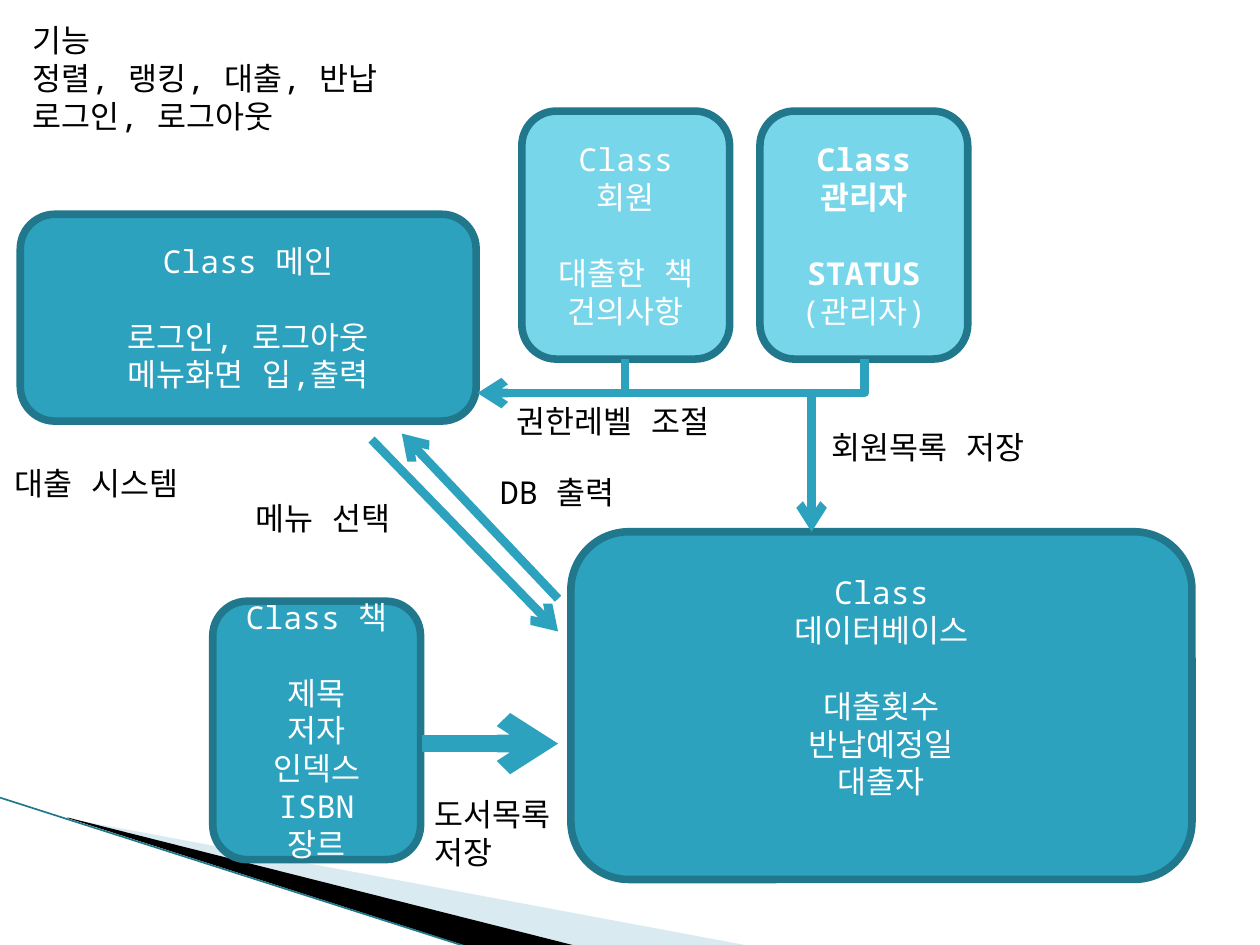
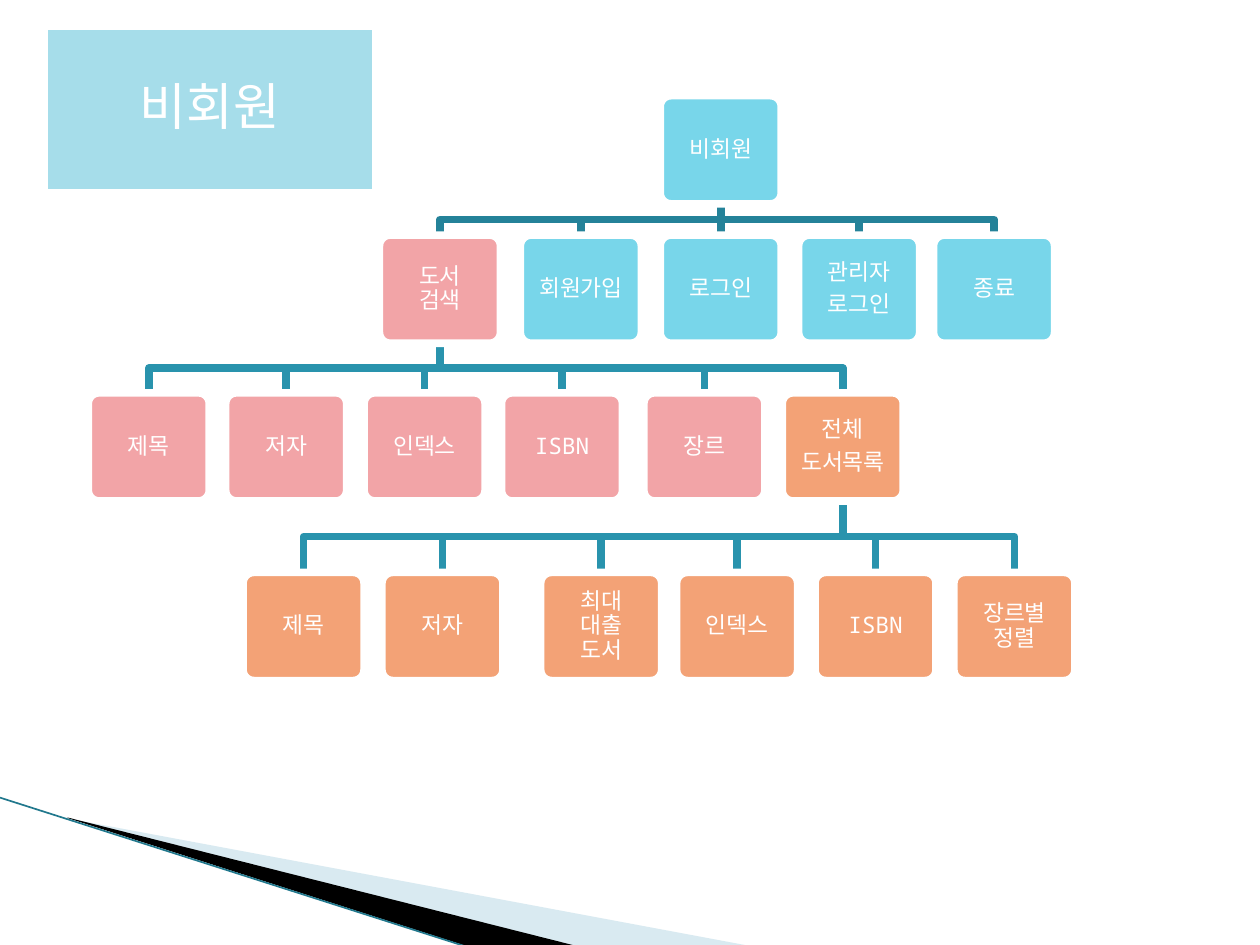
from lxml.etree import SubElement
from pptx import Presentation
from pptx.dml.color import RGBColor
from pptx.enum.shapes import MSO_CONNECTOR as CONN, MSO_SHAPE as SHAPE
from pptx.enum.text import MSO_ANCHOR as ANCHOR, PP_ALIGN as ALIGN
from pptx.oxml.ns import qn
from pptx.util import Cm, Pt

COLORS = {
    "white": "FFFFFF", "black": "000000", "main": "2DA2BF", "edge": "21788D",
    "sky": "78D6EA", "pale": "A6DDEA", "pink": "F2A4A7", "orange": "F3A276",
    "branch1": "248299", "branch2": "2993AD", "wedge": "A0CBDC",
}
FONT = "Noto Sans Mono"
EDGE = 4.33
LINE_GAP = Pt(21.7)


def rgb(name):
    """Return the palette colour called name."""
    return RGBColor.from_string(COLORS[name])


def style(shape, fill=None, line=None, width=EDGE):
    """Set fill and outline of a shape and drop its shadow."""
    shape.shadow.inherit = False
    if fill:
        shape.fill.solid()
        shape.fill.fore_color.rgb = rgb(fill)
    else:
        shape.fill.background()
    if line:
        shape.line.color.rgb = rgb(line)
        shape.line.width = Pt(width)
    else:
        shape.line.fill.background()


def write(tf, lines, size=18, color="white", bold=0, frame=None, para=None):
    """Write lines, the first few bold; an empty line becomes spacing."""
    frame = {"word_wrap": True, **(frame or {})}
    for name, value in frame.items():
        setattr(tf, name, value)
    p, gap = tf.paragraphs[0], False
    for i, text in enumerate(lines):
        if not text:
            gap = True
            continue
        if i:
            p = tf.add_paragraph()
        if gap:
            p.space_before, gap = LINE_GAP, False
        for name, value in (para or {}).items():
            setattr(p, name, value)
        r = p.add_run()
        r.text = text
        fmt = {"name": FONT, "size": Pt(size), "bold": i < bold}
        for name, value in fmt.items():
            setattr(r.font, name, value)
        r.font.color.rgb = rgb(color)
        SubElement(r.font._element, qn("a:ea"), typeface=FONT)


def add_box(s, kind, x, y, w, h, fill, line):
    """Add a filled preset shape, in centimetres."""
    sp = s.shapes.add_shape(kind, Cm(x), Cm(y), Cm(w), Cm(h))
    style(sp, fill, line)
    return sp


def add_label(s, x, y, w, h, lines):
    """Add a black text box."""
    sp = s.shapes.add_textbox(Cm(x), Cm(y), Cm(w), Cm(h))
    write(sp.text_frame, lines, color="black")


def add_line(s, x1, y1, x2, y2, color, width, arrow=False, kind=CONN.STRAIGHT):
    """Add a connector, with an arrowhead at its end if asked."""
    c = s.shapes.add_connector(kind, Cm(x1), Cm(y1), Cm(x2), Cm(y2))
    c.line.color.rgb = rgb(color)
    c.line.width = Pt(width)
    if arrow:
        SubElement(c.line._ln, qn("a:tailEnd"), type="arrow")
    SubElement(c._element.spPr, qn("a:effectLst"))
    return c


def add_outline(s, points, closed=True):
    """Add a freeform through the points."""
    pts = [(Cm(x), Cm(y)) for x, y in points]
    fb = s.shapes.build_freeform(*pts[0], scale=1.0)
    fb.add_line_segments(pts[1:], close=closed)
    return fb.convert_to_shape()


def add_corner(s, x, y):
    """Draw the wedges and hairline that rise from the lower left corner."""
    wedges = [
        ("wedge", [(1.41, .43), (15.12, 2.99), (11.59, 2.99), (1.41, .42)]),
        ("black", [(1.36, .4), (11.62, 2.99), (9.46, 3.01), (1.39, .42)]),
    ]
    for color, points in wedges:
        sp = add_outline(s, [(x + dx, y + dy) for dx, dy in points])
        style(sp, color)
        if color == "wedge":
            clr = sp.fill._xPr.find(".//" + qn("a:srgbClr"))
            SubElement(clr, qn("a:alpha"), val="40000")
    add_line(s, x, y, x + 9.45, y + 3.02, "edge", .95)


def add_class_diagram(s, x, y):
    """Draw the classes, the arrows between them and their labels."""
    classes = [
        (4.24, 11.82, 4.19, 5.21, "main", 0, 0,
         ["Class 책", "", "제목", "저자", "인덱스", "ISBN", "장르"]),
        (15.27, 1.94, 4.19, 5, "sky", 4, 0,
         ["Class", "관리자", "", "STATUS", "(관리자)"]),
        (10.47, 1.94, 4.19, 5, "sky", 0, 0,
         ["Class", "회원", "", "대출한 책", "건의사항"]),
        (11.46, 10.42, 12.52, 7.01, "main", 0, .76,
         ["Class", "데이터베이스", "", "대출횟수", "반납예정일", "대출자"]),
        (.36, 4.02, 9.19, 4.17, "main", 0, 0,
         ["Class 메인", "", "로그인, 로그아웃", "메뉴화면 입,출력"]),
    ]
    for dx, dy, w, h, fill, bold, lift, lines in classes:
        sp = add_box(s, SHAPE.ROUNDED_RECTANGLE, x + dx, y + dy, w, h, fill, "edge")
        frame = {"vertical_anchor": ANCHOR.MIDDLE, "margin_bottom": Cm(.13 + lift)}
        write(sp.text_frame, lines, bold=bold, frame=frame,
              para={"alignment": ALIGN.CENTER})

    arrows = [
        (8.46, 14.69, 11.2, 14.69, 10, True),
        (12.55, 6.94, 12.55, 7.62, 5, False),
        (16.31, 7.68, 16.31, 10.42, 5, True),
        (7.44, 8.56, 11.2, 12.43, 5, True),
        (11.2, 11.77, 8.05, 8.44, 5, True),
    ]
    for x1, y1, x2, y2, width, head in arrows:
        add_line(s, x + x1, y + y1, x + x2, y + y2, "main", width, head)
    bent = add_line(s, x + 13.13, y + 3.38, x + 13.82, y + 11.18,
                    "main", 5, True, CONN.ELBOW)
    bent._element.spPr.find(qn("a:xfrm")).set("rot", "5400000")
    bent._element.spPr.find(qn("a:prstGeom")).set("prst", "bentConnector2")

    labels = [
        (10.11, 7.68, 4.9, 1.02, ["권한레벨 조절"]),
        (16.46, 8.21, 4.8, 1.02, ["회원목록 저장"]),
        (8.46, 15.6, 4.8, 1.8, ["도서목록", "저장"]),
        (4.85, 9.63, 3.4, 1.02, ["메뉴 선택"]),
        (9.78, 9.12, 3.68, 1.02, ["DB 출력"]),
        (.36, 0, 8.08, 2.57, ["기능", "정렬, 랭킹, 대출, 반납", "로그인, 로그아웃"]),
        (0, 8.92, 4.45, 1.02, ["대출 시스템"]),
    ]
    for dx, dy, w, h, lines in labels:
        add_label(s, x + dx, y + dy, w, h, lines)


def add_node(s, x, y, w, h, fill, lines, size=13, inset=.19, kind=SHAPE.ROUNDED_RECTANGLE):
    """Add one white-edged box of the menu tree."""
    sp = add_box(s, kind, x, y, w, h, fill, "white")
    if kind == SHAPE.ROUNDED_RECTANGLE:
        sp.adjustments[0] = .1
    frame = {"vertical_anchor": ANCHOR.MIDDLE}
    frame.update({f"margin_{side}": Cm(inset) for side in ("left", "right", "top", "bottom")})
    para = {"alignment": ALIGN.CENTER, "line_spacing": .9, "space_after": Pt(size * .35)}
    write(sp.text_frame, lines, size, frame=frame, para=para)


def add_branch(s, x1, y1, x2, y2, color):
    """Join a parent's foot to a child's head by a stepped line."""
    if x1 == x2:
        add_line(s, x1, y1, x2, y2, color, EDGE)
        return
    mid = (y1 + y2) / 2
    sp = add_outline(s, [(x1, y1), (x1, mid), (x2, mid), (x2, y2)], closed=False)
    style(sp, line=color)


def add_menu_tree(s, x, y):
    """Draw the menu rows; each row hangs from one node of the row above."""
    w, h = 2.44, 2.18
    rows = [
        (0, None, None, [(11.53, "sky", ["비회원"])]),
        (2.81, 11.53, "branch1", [
            (5.87, "pink", ["도서 검색"]), (8.71, "sky", ["회원가입"]),
            (11.53, "sky", ["로그인"]), (14.32, "sky", ["관리자", "로그인"]),
            (17.04, "sky", ["종료"])]),
        (5.99, 5.87, "branch2", [
            (0, "pink", ["제목"]), (2.77, "pink", ["저자"]),
            (5.56, "pink", ["인덱스"]), (8.33, "pink", ["ISBN"]),
            (11.2, "pink", ["장르"]), (13.99, "orange", ["전체", "도서목록"])]),
        (9.61, 13.99, "branch2", [
            (3.12, "orange", ["제목"]), (5.92, "orange", ["저자"]),
            (9.12, "orange", ["최대 대출 도서"]), (11.86, "orange", ["인덱스"]),
            (14.65, "orange", ["ISBN"]), (17.45, "orange", ["장르별 정렬"])]),
    ]
    foot = 0
    for top, parent, color, nodes in rows:
        for left, _, _ in nodes:
            if parent is not None:
                add_branch(s, x + parent + w / 2, y + foot,
                           x + left + w / 2, y + top, color)
        foot = top + h
    for top, _, _, nodes in rows:
        for left, fill, lines in nodes:
            add_node(s, x + left, y + top, w, h, fill, lines)


def main():
    """Build both slides and save them."""
    prs = Presentation()
    prs.slide_width, prs.slide_height = Cm(25.4), Cm(19.05)
    slides = [prs.slides.add_slide(prs.slide_layouts[6]) for _ in range(2)]
    for s in slides:
        add_corner(s, 0, 16.08)
    add_class_diagram(slides[0], .05, .3)
    add_menu_tree(slides[1], 1.78, 1.93)
    add_node(slides[1], .89, .53, 6.68, 3.35, "pale", ["비회원"], 29, .05, SHAPE.RECTANGLE)
    prs.save("out.pptx")


main()
